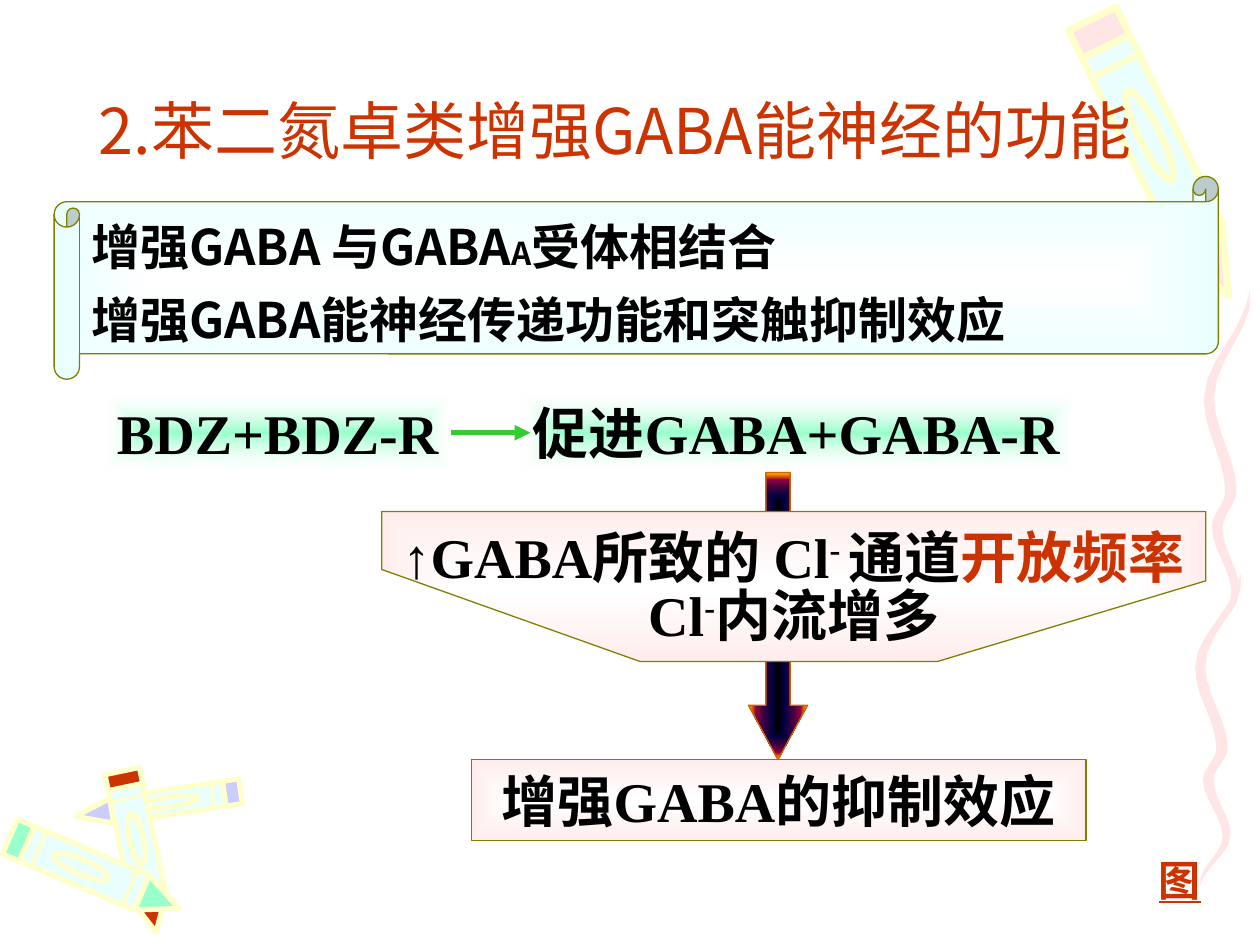
from math import cos, hypot, pi, sin

from pptx import Presentation
from pptx.dml.color import RGBColor
from pptx.enum.shapes import MSO_CONNECTOR, MSO_SHAPE
from pptx.enum.text import MSO_ANCHOR, PP_ALIGN
from pptx.oxml import parse_xml
from pptx.oxml.ns import nsdecls, qn
from pptx.util import Inches, Pt

LEFT, CENTER = PP_ALIGN.LEFT, PP_ALIGN.CENTER
TOP, MIDDLE = MSO_ANCHOR.TOP, MSO_ANCHOR.MIDDLE
RECTANGLE, DOWN_ARROW = MSO_SHAPE.RECTANGLE, MSO_SHAPE.DOWN_ARROW
SCROLL, STRAIGHT = MSO_SHAPE.HORIZONTAL_SCROLL, MSO_CONNECTOR.STRAIGHT
RIGHT_SIDE = 3

SANS, SERIF = "Noto Sans CJK SC", "Times New Roman"
BLACK, RED, OLIVE, GREEN, ORANGE = "000000", "CC3300", "808000", "33CC33", "CC6600"
PINK, CYAN, CREAM, MINT, LILAC = "FFE5E5", "E9FFFF", "FFFFCC", "99FFCC", "CCCCFF"

# Gradient stops: position in percent, colour, opacity in percent
BLUSH = [(0, "FFFFFF", 100), (100, "FFEDED", 100)]
ICE = [(0, "FFFFFF", 100), (100, CYAN, 100)]
GLOW = [(0, MINT, 100), (100, "FFFFFF", 0)]
SUNSET = [(0, "000000", 100), (20, "000040", 100), (50, "400040", 100),
          (75, "8F0040", 100), (90, "F27300", 100), (100, "FFBF00", 100)]

# Turning points of the ribbon: share of its height, share of its width
RIBBON_BENDS = [(0, 1), (0.3, 0.1), (0.56, 0.58), (0.66, 0.28), (0.84, 0.68), (1, 0.1)]


def color(value):
    return RGBColor.from_string(value)


def style_shape(shape, fill=None, line=None, line_width=0.75, gradient="rect"):
    """Fill with one colour, with gradient stops, or not at all; then set the outline."""
    shape.shadow.inherit = False
    if isinstance(fill, str):
        shape.fill.solid()
        shape.fill.fore_color.rgb = color(fill)
    else:
        shape.fill.background()
    if isinstance(fill, list):
        stops = "".join(
            f'<a:gs pos="{position * 1000}"><a:srgbClr val="{value}">'
            f'<a:alpha val="{opacity * 1000}"/></a:srgbClr></a:gs>' for position, value, opacity in fill)
        properties = shape._element.spPr
        properties.replace(properties.find(qn("a:noFill")), parse_xml(
            f'<a:gradFill {nsdecls("a")} rotWithShape="1"><a:gsLst>{stops}</a:gsLst>'
            f'<a:path path="{gradient}"><a:fillToRect l="50000" t="50000" r="50000" b="50000"/>'
            '</a:path></a:gradFill>'))
    if line:
        shape.line.color.rgb = color(line)
        shape.line.width = Pt(line_width)
    else:
        shape.line.fill.background()


def write_text(shape, lines, size, leading, font=SERIF, ink=BLACK, bold=True, align=CENTER,
               anchor=TOP, wrap=True, side=0.1, edge=0):
    """Each line is a list of (text, format changes) runs."""
    frame = shape.text_frame
    frame.word_wrap, frame.vertical_anchor = wrap, anchor
    frame.margin_left = frame.margin_right = Inches(side)
    frame.margin_top = frame.margin_bottom = Inches(edge)
    for index, runs in enumerate(lines):
        paragraph = frame.paragraphs[0] if index == 0 else frame.add_paragraph()
        paragraph.alignment, paragraph.line_spacing = align, Pt(leading)
        for text, changes in runs:
            run = paragraph.add_run()
            run.text = text
            run.font.name, run.font.bold = font, bold
            run.font.size = Pt(changes.get("size", size))
            run.font.color.rgb = color(changes.get("ink", ink))
            run.font.underline = changes.get("underline")
            properties = run.font._element
            properties.find(qn("a:latin")).addnext(
                parse_xml(f'<a:ea {nsdecls("a")} typeface="{SANS}"/>'))
            if "raised" in changes:
                properties.set("baseline", "30000")


def add_box(slide, kind, left, top, width, height, **style):
    shape = slide.shapes.add_shape(kind, Inches(left), Inches(top), Inches(width), Inches(height))
    style_shape(shape, **style)
    return shape


def add_label(slide, left, top, width, height, lines, **text_format):
    label = slide.shapes.add_textbox(Inches(left), Inches(top), Inches(width), Inches(height))
    write_text(label, lines, **text_format)


def add_outline(shapes, points, **style):
    corners = [(Inches(x), Inches(y)) for x, y in points]
    builder = shapes.build_freeform(*corners[0])
    builder.add_line_segments(corners[1:], close=True)
    style_shape(builder.convert_to_shape(), **style)


def add_crayon(slide, back, point, width, end_color, point_color, stroke):
    """Draw a crayon from the middle of its back end to its point."""
    run, rise = point[0] - back[0], point[1] - back[1]
    length = hypot(run, rise)
    shapes = slide.shapes.add_group_shape().shapes

    def place(along, across):
        """Turn shares of the length and of the width into slide coordinates."""
        return (back[0] + run * along - rise / length * width * across,
                back[1] + rise * along + run / length * width * across)

    def band(start, stop):
        return [place(start, -0.5), place(stop, -0.5), place(stop, 0.5), place(start, 0.5)]

    outline = {"line": CREAM, "line_width": stroke}
    tip = [place(0.78, -0.5), place(1, 0), place(0.78, 0.5)]
    add_outline(shapes, tip, fill=point_color, **outline)
    add_outline(shapes, band(0, 0.1), fill=end_color, **outline)
    add_outline(shapes, band(0.1, 0.78), fill=CYAN, **outline)
    # Wrapper stripes and the oval label
    for start in (0.16, 0.7):
        add_outline(shapes, band(start, start + 0.02), fill=CREAM)
    angles = [2 * pi * step / 24 for step in range(24)]
    oval = [place(0.42 + 0.16 * cos(angle), 0.2 * sin(angle)) for angle in angles]
    add_outline(shapes, oval, **outline)


def add_ribbon(slide, left, top, width, height, thickness=0.09, steps=6):
    """Draw a wavy ribbon that eases from bend to bend and thins out at both ends."""
    left_edge, right_edge = [], []
    for (start, x_start), (stop, x_stop) in zip(RIBBON_BENDS, RIBBON_BENDS[1:]):
        for step in range(steps + 1):
            share = step / steps
            down = start + (stop - start) * share
            middle = left + width * (x_start + (x_stop - x_start) * (1 - cos(pi * share)) / 2)
            half = thickness / 2 * abs(sin(pi * down)) ** 0.5
            left_edge.append((middle - half, top + height * down))
            right_edge.append((middle + half, top + height * down))
    add_outline(slide.shapes, left_edge + right_edge[::-1], fill=PINK)


def add_decorations(slide):
    # Large crayon at the top right
    add_crayon(slide, (8.67, 0.15), (9.75, 2.35), 0.42, PINK, PINK, stroke=4)
    # Three crossed crayons at the bottom left
    add_crayon(slide, (1.91, 6.28), (0.6, 6.48), 0.2, LILAC, LILAC, stroke=3)
    add_crayon(slide, (0.97, 6.12), (1.24, 7.4), 0.28, RED, RED, stroke=3)
    add_crayon(slide, (0.08, 6.64), (1.42, 7.21), 0.3, MINT, MINT, stroke=3)
    # Ribbon down the right side, in two lengths
    add_ribbon(slide, 9.56, 2.31, 0.36, 2.84)
    add_ribbon(slide, 9.49, 4.55, 0.36, 2.48)


def add_scroll(slide, left, top, width, height):
    scroll = add_box(slide, SCROLL, left, top, width, height, fill=ICE, line=OLIVE)
    write_text(scroll, [[("增强GABA 与GABA", {}), ("A", {"size": 18}), ("受体相结合", {})],
                        [("增强GABA能神经传递功能和突触抑制效应", {})]],
               size=28, leading=42, font=SANS, align=LEFT)


def add_link(slide, source, right):
    """Draw an arrow from the right side of a box to the given x."""
    middle = source.top + source.height // 2
    link = slide.shapes.add_connector(
        STRAIGHT, source.left + source.width, middle, Inches(right), middle)
    link.begin_connect(source, RIGHT_SIDE)
    link.line.color.rgb, link.line.width = color(GREEN), Pt(3)
    link.line._get_or_add_ln().append(parse_xml(f'<a:tailEnd {nsdecls("a")} type="triangle"/>'))
    link._element.spPr.append(parse_xml(f'<a:effectLst {nsdecls("a")}/>'))


def add_callout(slide, left, top, width, height):
    """Draw a panel whose lower corners are cut towards a narrow foot."""
    right, bottom = left + width, top + height
    add_outline(slide.shapes, [(left, top), (right, top), (right, top + 0.55), (right - 2.13, bottom),
                               (left + 2.05, bottom), (left, top + 0.46)], fill=BLUSH, line=OLIVE)
    add_label(slide, left - 0.16, top + 0.16, width + 0.32, 0.95,
              [[("↑GABA所致的 Cl", {}), ("- ", {"raised": True}), ("通道", {}), ("开放频率", {"ink": RED})],
               [("Cl", {}), ("-", {"raised": True}), ("内流增多", {})]],
              size=32, leading=33, side=0)


def add_flow(slide, left, top):
    step_format = {"size": 32, "leading": 38, "anchor": MIDDLE}
    # Long arrow behind the callout
    arrow = add_box(slide, DOWN_ARROW, left + 5.11, top + 0.63, 0.47, 2.28, fill=SUNSET, line=ORANGE)
    arrow.adjustments[0], arrow.adjustments[1] = 0.41, 0.92
    # Binding step and what it promotes
    binding = add_box(slide, RECTANGLE, left, top, 2.75, 0.63, fill=GLOW, gradient="shape")
    promotion = add_box(slide, RECTANGLE, left + 3.3, top, 4.39, 0.63, fill=GLOW, gradient="shape")
    for box, text in ((binding, "BDZ+BDZ-R"), (promotion, "促进GABA+GABA-R")):
        write_text(box, [[(text, {})]], align=LEFT, wrap=False, **step_format)
    add_link(slide, binding, left + 3.38)
    # Chloride channel, then the final effect
    add_callout(slide, left + 2.2, top + 0.94, 6.54, 1.19)
    effect = add_box(slide, RECTANGLE, left + 2.91, top + 2.91, 4.88, 0.64,
                     fill=BLUSH, line=OLIVE, gradient="shape")
    write_text(effect, [[("增强GABA的抑制效应", {})]], **step_format)


def main():
    presentation = Presentation()
    presentation.slide_width, presentation.slide_height = Inches(10), Inches(7.5)
    slide = presentation.slides.add_slide(presentation.slide_layouts[6])
    add_decorations(slide)
    add_label(slide, 0.43, 0.68, 8.9, 0.71, [[("2.苯二氮卓类增强GABA能神经的功能", {})]],
              size=36, leading=43, font=SANS, ink=RED, bold=False, side=0, edge=0.05)
    add_flow(slide, 0.83, 3.12)
    add_scroll(slide, 0.43, 1.4, 9.24, 1.61)
    add_label(slide, 9.1, 6.74, 0.53, 0.5, [[("图", {"underline": True})]],
              size=24, leading=28, font=SANS, ink=RED, wrap=False, edge=0.05)
    presentation.save("out.pptx")


if __name__ == "__main__":
    main()
